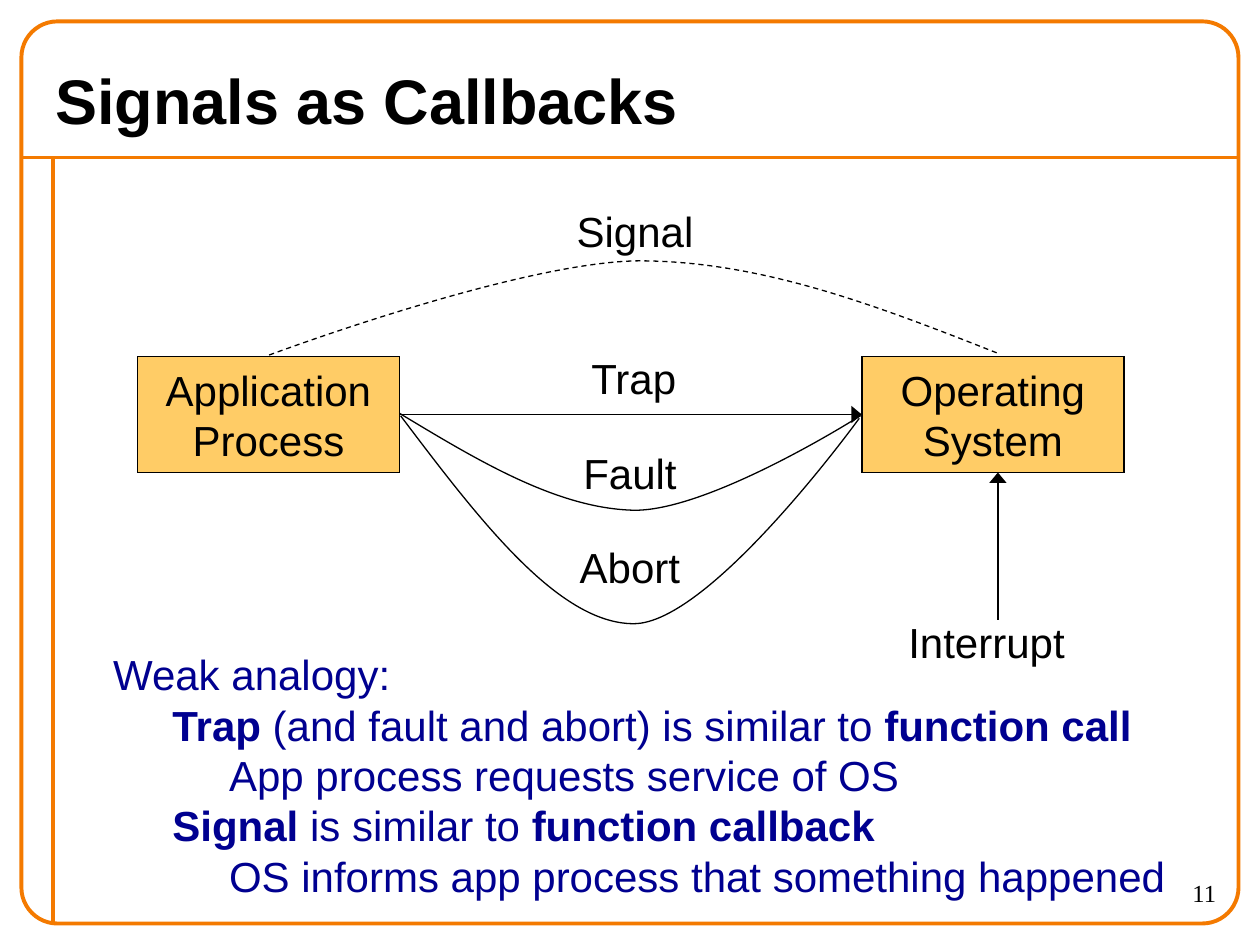
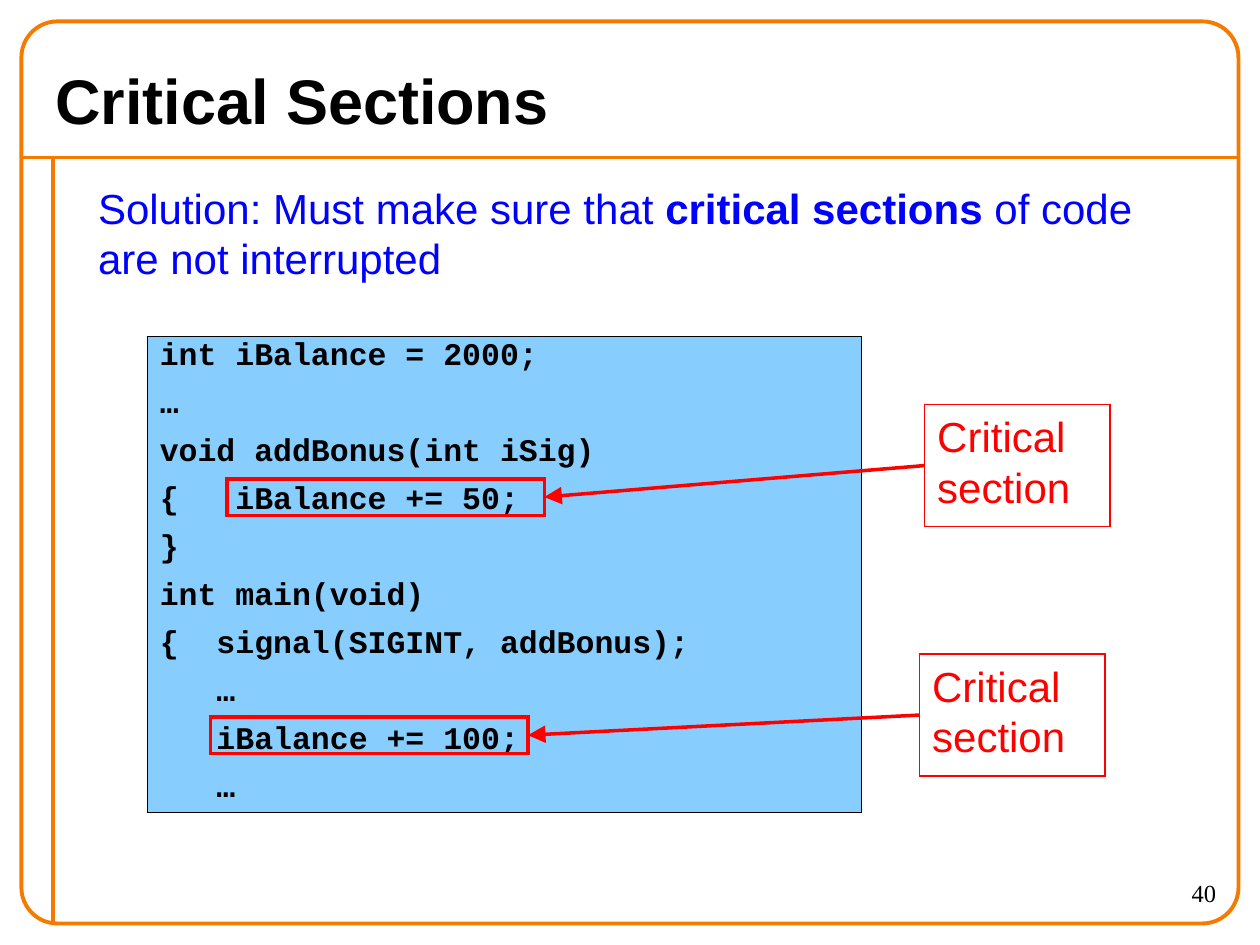
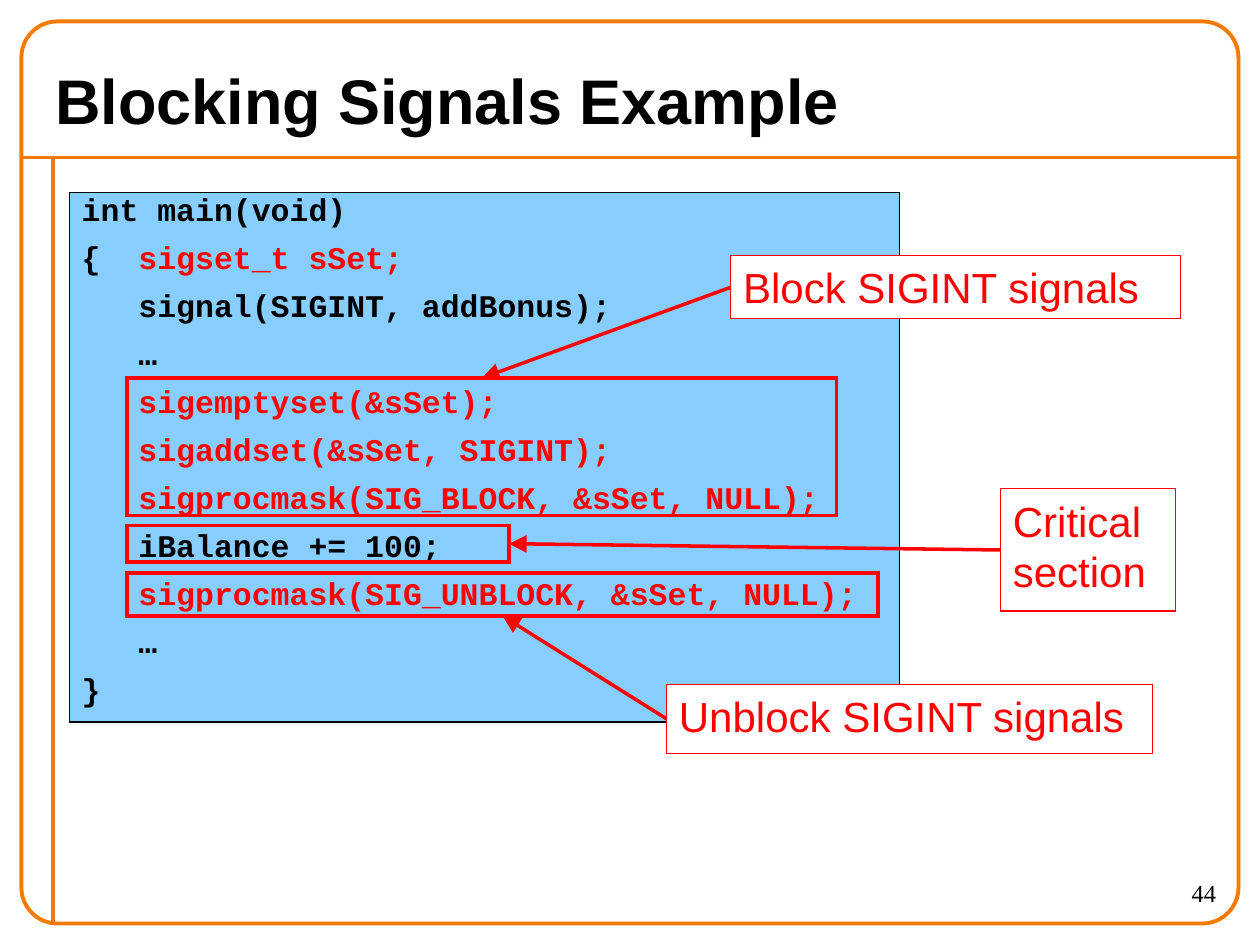
from lxml.etree import SubElement
from pptx import Presentation
from pptx.dml.color import RGBColor
from pptx.enum.dml import MSO_LINE_DASH_STYLE as Dash
from pptx.enum.shapes import MSO_CONNECTOR as Connector, MSO_SHAPE as Shape
from pptx.enum.text import MSO_ANCHOR as Anchor, PP_ALIGN as Align
from pptx.oxml.ns import qn
from pptx.util import Inches, Pt

COLORS = {
    "frame": "F47A00", "ink": "000000", "paper": "FFFFFF", "box": "FFCC66",
    "code": "87CEFF", "alert": "FF0000", "navy": "000090", "blue": "0000FF",
}
TOP, LEFT, BOTTOM, RIGHT = range(4)  # connection sites of a rectangle


def rgb(name):
    return RGBColor.from_string(COLORS[name])


def within(area, part):
    """Shift a part, given relative to an area, to slide coordinates."""
    return (area[0] + part[0], area[1] + part[1], *part[2:])


# Basic parts
def write_text(shape, text, size=24, font="Arial", color="ink", bold=False,
               align=Align.LEFT, anchor=Anchor.TOP, line_spacing=None,
               space_before=0, indents=(), hanging=0, accent=None):
    """Each line is a paragraph, and a vertical tab breaks a line within one.
    Every second part between bars is emphasised: in the accent colour if
    there is one, otherwise in bold."""
    frame = shape.text_frame
    frame.word_wrap = True
    frame.vertical_anchor = anchor
    for number, line in enumerate(text.split("\n")):
        paragraph = frame.paragraphs[0] if number == 0 else frame.add_paragraph()
        paragraph.alignment = align
        paragraph.line_spacing = line_spacing
        paragraph.space_before = Pt(space_before if number else 0)
        properties = paragraph._p.get_or_add_pPr()
        left = indents[number] if indents else hanging
        properties.set("marL", str(Inches(left)))
        properties.set("indent", str(Inches(-hanging)))
        for index, part in enumerate(line.split("|")):
            emphasised = index % 2 == 1
            for row, words in enumerate(part.split("\v")):
                if row:
                    paragraph.add_line_break()
                if not words:
                    continue
                run = paragraph.add_run()
                run.text = words
                run.font.name, run.font.size = font, Pt(size)
                run.font.bold = bold or (emphasised and accent is None)
                run.font.color.rgb = rgb(
                    accent if emphasised and accent else color)


def add_text(slide, box, text, **text_format):
    shape = slide.shapes.add_textbox(*map(Inches, box))
    write_text(shape, text, **text_format)


def style_shape(shape, fill, line, width):
    shape.shadow.inherit = False
    if fill:
        shape.fill.solid()
        shape.fill.fore_color.rgb = rgb(fill)
    else:
        shape.fill.background()
    shape.line.color.rgb = rgb(line)
    shape.line.width = Pt(width)
    SubElement(shape.line._get_or_add_ln(), qn("a:miter"), lim="800000")


def add_box(slide, box, fill=None, line="ink", width=0.75, kind=Shape.RECTANGLE):
    shape = slide.shapes.add_shape(kind, *map(Inches, box))
    style_shape(shape, fill, line, width)
    return shape


def add_line(slide, start=(0, 0), end=(0, 0), color="ink", width=1,
             head_length="med"):
    line = slide.shapes.add_connector(
        Connector.STRAIGHT, *map(Inches, (*start, *end)))
    line.line.color.rgb = rgb(color)
    line.line.width = Pt(width)
    if head_length:
        SubElement(line.line._get_or_add_ln(), qn("a:tailEnd"),
                   type="triangle", w="lg", len=head_length)
    SubElement(line._element.spPr, qn("a:effectLst"))
    return line


def link(slide, source, source_site, target, target_site, **line_format):
    line = add_line(slide, **line_format)
    line.begin_connect(source, source_site)
    line.end_connect(target, target_site)


def add_curve(slide, area, points, dashed=False):
    """Draw a chain of cubic curves: a start, then three points per curve."""
    points = [tuple(map(Inches, within(area, point))) for point in points]
    builder = slide.shapes.build_freeform(*points[0], scale=1.0)
    builder.add_line_segments(points[1:], close=False)
    shape = builder.convert_to_shape()
    # Turn every three straight segments into one cubic curve
    segments = list(shape._element.iter(qn("a:lnTo")))
    for index, segment in enumerate(segments):
        if index % 3 == 0:
            cubic = SubElement(segment.getparent(), qn("a:cubicBezTo"))
        cubic.append(segment[0])
        segment.getparent().remove(segment)
    style_shape(shape, None, "ink", 0.75)
    if dashed:
        shape.line.dash_style = Dash.DASH


# Shared frame, title and page number
def add_slide(presentation, title, page):
    slide = presentation.slides.add_slide(presentation.slide_layouts[6])
    rule = dict(color="frame", width=2.25, head_length=None)
    add_line(slide, (0.17, 1.25), (9.83, 1.25), **rule)
    add_line(slide, (0.42, 1.25), (0.42, 7.33), **rule)
    border = add_box(slide, (0.17, 0.17, 9.66, 7.16), line="frame", width=2.25,
                     kind=Shape.ROUNDED_RECTANGLE)
    border.adjustments[0] = 0.04
    add_text(slide, (0.34, 0.41, 8.82, 0.75), title, size=36, bold=True,
             anchor=Anchor.MIDDLE)
    add_text(slide, (8.75, 6.92, 1, 0.42), str(page), size=14,
             font="Times New Roman", align=Align.RIGHT)
    return slide


# Application and operating system with the events between them
def add_event_diagram(slide, area):
    parties = []
    for left, name in ((0, "Application\nProcess"), (5.75, "Operating\nSystem")):
        party = add_box(slide, within(area, (left, 1.25, 2.08, 0.92)), "box")
        write_text(party, name, align=Align.CENTER, anchor=Anchor.MIDDLE)
        parties.append(party)
    application, system = parties

    link(slide, application, RIGHT, system, LEFT)
    add_line(slide, within(area, (6.83, 3.34)), within(area, (6.83, 2.17)))

    fault = [(2.08, 1.7), (2.71, 2.08), (3.34, 2.46), (3.95, 2.47),
             (4.56, 2.47), (5.74, 1.72), (5.74, 1.72)]
    abort = [(2.09, 1.72), (2.71, 2.54), (3.34, 3.37), (3.94, 3.37),
             (4.55, 3.37), (5.73, 1.74), (5.73, 1.74)]
    signal = [(6.82, 1.22), (5.88, 0.85), (4.95, 0.49), (3.98, 0.49),
              (3.02, 0.5), (1.04, 1.24), (1.04, 1.24)]
    add_curve(slide, area, fault)
    add_curve(slide, area, abort)
    add_curve(slide, area, signal, dashed=True)

    for name, center, top, width in (
            ("Signal", 3.95, 0, 1.25), ("Trap", 3.94, 1.17, 0.9),
            ("Fault", 3.91, 1.92, 1), ("Abort", 3.91, 2.67, 1.17),
            ("Interrupt", 6.74, 3.26, 1.67)):
        label_box = within(area, (center - width / 2, top, width, 0.5))
        add_text(slide, label_box, name, align=Align.CENTER)


# Code panel with framed passages, each explained by a callout
def add_code_panel(slide, area, code, notes, callout_fill=None):
    panel = add_box(slide, area, "code")
    write_text(panel, code, size=18, font="Courier New", bold=True,
               line_spacing=0.75, space_before=11.2, hanging=0.24,
               accent="alert")
    for passage_box, site, callout_box, label in notes:
        passage = add_box(slide, within(area, passage_box), line="alert", width=2)
        callout = add_box(slide, within(area, callout_box), callout_fill, "alert")
        write_text(callout, label, color="alert")
        link(slide, callout, LEFT, passage, site, color="alert", width=2,
             head_length="lg")


ANALOGY = """Weak analogy:
|Trap |(and fault and abort) is similar to |function call
App process requests service of OS
|Signal |is similar to |function callback
OS informs app process that something happened"""

BONUS_CODE = """int iBalance = 2000;
…
void addBonus(int iSig)
{   iBalance += 50;
}
int main(void)
{  signal(SIGINT, addBonus);
   …
   iBalance += 100;
   …"""

BLOCKING_CODE = """int main(void)
{|  sigset_t sSet;
   signal(SIGINT, addBonus);
   …
   |sigemptyset(&sSet);
|   sigaddset(&sSet, SIGINT);
   |sigprocmask(SIG_BLOCK, &sSet, NULL);
   iBalance += 100;
|   sigprocmask(SIG_UNBLOCK, &sSet, NULL);
   …
}"""

CRITICAL = "Critical\vsection"


def build_callbacks(presentation):
    slide = add_slide(presentation, "Signals as Callbacks", 11)
    add_event_diagram(slide, (1.09, 1.58))
    add_text(slide, (0.8, 5.1, 8.6, 2.1), ANALOGY, color="navy",
             indents=(0, 0.47, 0.92, 0.47, 0.92))


def build_critical_sections(presentation):
    slide = add_slide(presentation, "Critical Sections", 40)
    add_code_panel(slide, (1.17, 2.67, 5.67, 3.78), BONUS_CODE, [
        ((0.5, 3.02, 2.52, 0.29), RIGHT, (6.13, 2.52, 1.47, 0.97), CRITICAL),
        ((0.63, 1.13, 2.52, 0.29), RIGHT, (6.17, 0.54, 1.47, 0.97), CRITICAL),
    ])
    add_text(slide, (0.68, 1.4, 8.45, 0.9),
             "Solution: Must make sure that |critical sections |of code\n"
             "are not interrupted", color="blue")


def build_blocking(presentation):
    slide = add_slide(presentation, "Blocking Signals Example", 44)
    add_code_panel(slide, (0.55, 1.53, 6.59, 4.2), BLOCKING_CODE, [
        ((0.46, 2.64, 3.03, 0.29), RIGHT, (7.39, 2.35, 1.39, 0.97), CRITICAL),
        ((0.46, 1.47, 5.63, 1.09), TOP, (5.25, 0.5, 3.57, 0.5),
         "Block SIGINT signals"),
        ((0.46, 3.02, 5.96, 0.34), BOTTOM, (4.74, 3.9, 3.86, 0.55),
         "Unblock SIGINT signals"),
    ], callout_fill="paper")


def main():
    presentation = Presentation()
    presentation.slide_width, presentation.slide_height = Inches(10), Inches(7.5)
    build_callbacks(presentation)
    build_critical_sections(presentation)
    build_blocking(presentation)
    presentation.save("out.pptx")


if __name__ == "__main__":
    main()
